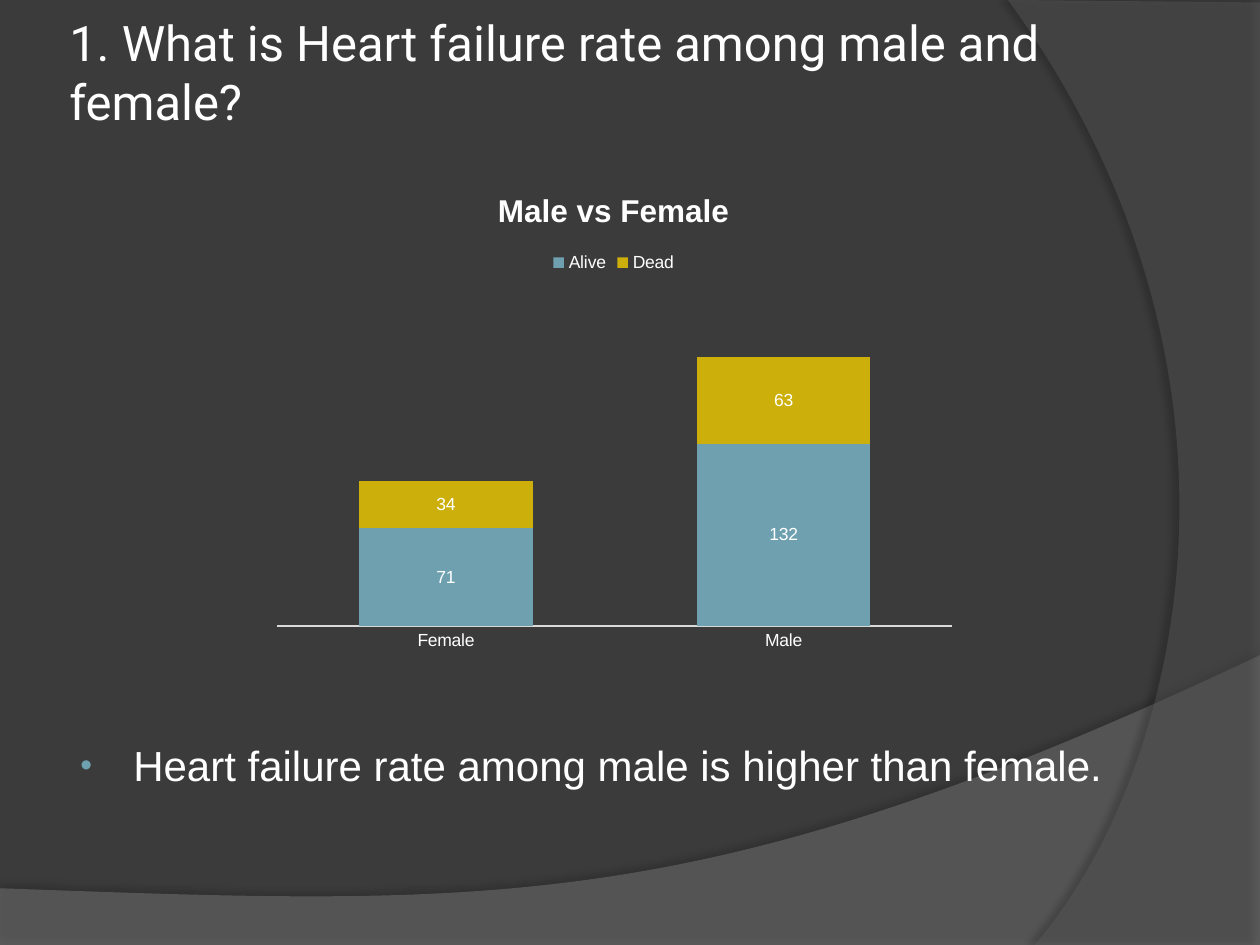
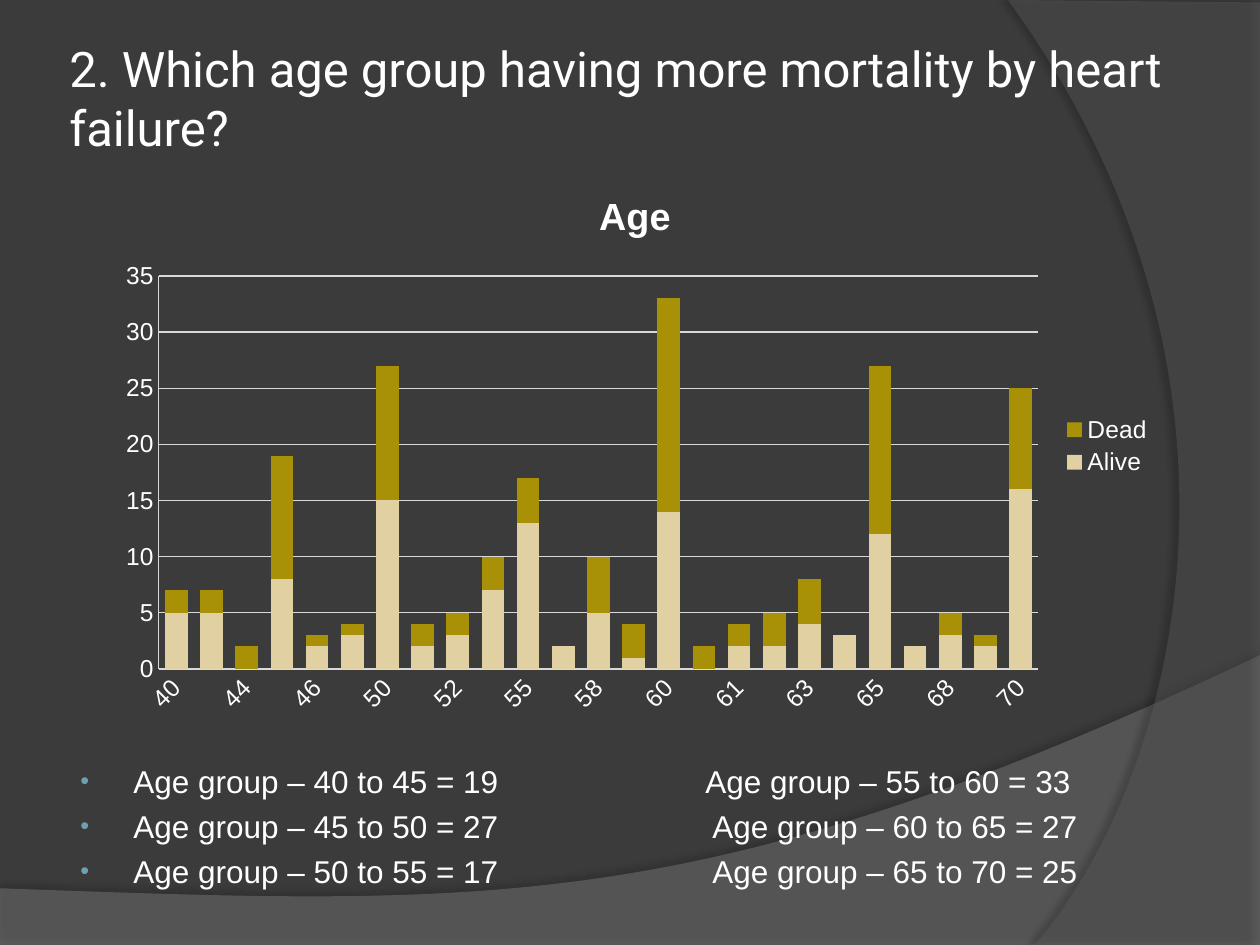
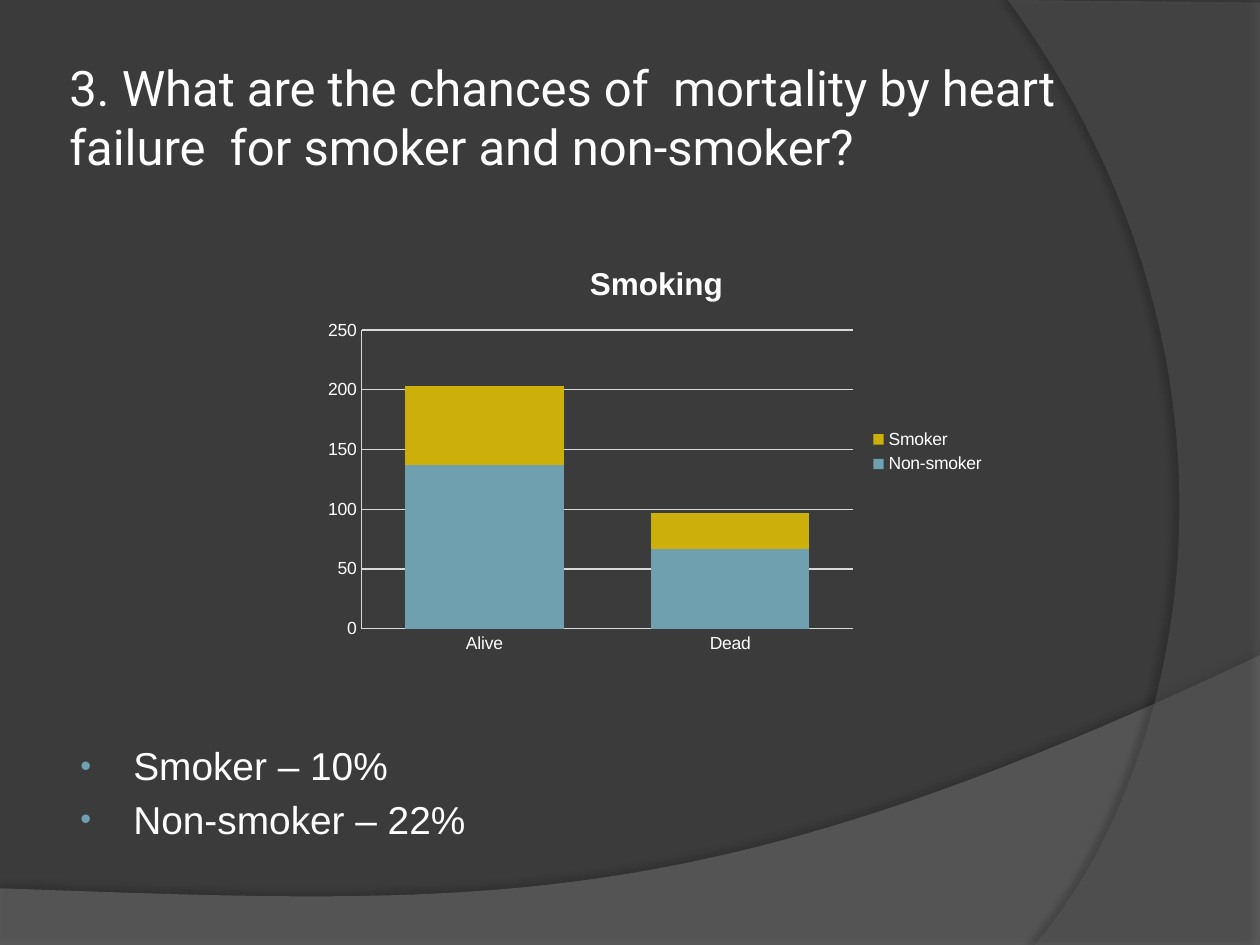
from dataclasses import dataclass
from typing import Any, NamedTuple

import lxml.etree
import pptx
import pptx.chart.data
import pptx.dml.color
import pptx.enum.chart
import pptx.enum.text
import pptx.oxml.ns
import pptx.util

SCALE = 9144  # EMU in one px, 100 px to the inch
WIDE, HIGH = 1000, 750


@dataclass(frozen=True)
class Theme:
    back: str = "3B3B3B"
    text: str = "FFFFFF"
    rule: str = "D9D9D9"
    shade: str = "000000"
    blue: str = "6EA0B0"
    gold: str = "CCAF0A"
    sand: str = "E0D0A2"
    olive: str = "A99107"
    head: str = "Roboto"
    body: str = "Arial"
    title: float = 28
    space: float = 4


THEME = Theme()


class Box(NamedTuple):
    left: int
    top: int
    width: int
    height: int


class Band(NamedTuple):
    corners: list[tuple[int, int]]
    curve: list[tuple[int, int]]
    color: str
    alpha: int
    shade: int
    dist: int
    angle: int


class Series(NamedTuple):
    name: str
    color: str
    values: list[int | None]


class Graph(NamedTuple):
    box: Box
    plot: Box
    title: str
    head: float
    size: float
    gap: int
    top: int
    step: int
    cats: list[str]
    series: list[Series]
    bare: bool = False  # labelled bars, no value axis
    tilt: bool = False  # slanted labels on every second category


class Page(NamedTuple):
    title: str
    frame: Box
    graph: Graph
    notes: list[str]
    list_box: Box
    size: float


BANDS = [
    Band([(0, 705), (0, 750), (1000, 750)],
         [(1000, 520), (559, 729), (391, 719), (0, 705)],
         "7F7F7F", 45, 35, 44450, 270),
    Band([(1000, 2), (1000, 750)],
         [(821, 750), (935, 619), (1018, 300), (800, 0)],
         "5E5E5E", 40, 45, 50800, 180),
]

AGES = ("40 42 44 45 46 49 50 51 52 53 55 57 58 59 60 60.67 "
        "61 62 63 64 65 67 68 69 70").split()

PAGES = [
    Page("1. What is Heart failure rate among male and female?",
         Box(50, 30, 900, 53),
         Graph(Box(208, 133, 558, 392), Box(220, 223, 536, 274),
               "Male vs Female", 18, 10, 95, 250, 50, ["Female", "Male"],
               [Series("Alive", THEME.blue, [71, 132]),
                Series("Dead", THEME.gold, [34, 63])], bare=True),
         ["Heart failure rate among male is higher than female."],
         Box(50, 587, 900, 45), 24),
    Page("2. Which age group having more mortality by heart failure?",
         Box(50, 30, 892, 95),
         Graph(Box(83, 133, 842, 442), Box(126, 219, 698, 312),
               "Age", 21.6, 14, 55, 35, 5, AGES,
               [Series("Alive", THEME.sand,
                       [5, 5, None, 8, 2, 3, 15, 2, 3, 7, 13, 2, 5, 1, 14,
                        None, 2, 2, 4, 3, 12, 2, 3, 2, 16]),
                Series("Dead", THEME.olive,
                       [2, 2, 2, 11, 1, 1, 12, 2, 2, 3, 4, None, 5, 3, 19,
                        2, 2, 3, 4, None, 15, None, 2, 1, 9])], tilt=True),
         ["Age group – 40 to 45 = 19\t\tAge group – 55 to 60 = 33",
          "Age group – 45 to 50 = 27\t\t Age group – 60 to 65 = 27",
          "Age group – 50 to 55 = 17\t\t Age group – 65 to 70 = 25"],
         Box(50, 605, 900, 110), 18),
    Page("3. What are the chances of  mortality by heart failure  "
         "for smoker and non-smoker?",
         Box(50, 30, 900, 125),
         Graph(Box(250, 192, 542, 333), Box(287, 262, 390, 237),
               "Smoking", 18, 10, 55, 250, 50, ["Alive", "Dead"],
               [Series("Non-smoker", THEME.blue, [137, 67]),
                Series("Smoker", THEME.gold, [66, 30])]),
         ["Smoker – 10%", "Non-smoker – 22%"],
         Box(50, 589, 817, 90), 22.2),
]


def px(value: float) -> int:
    return round(value * SCALE)


def place(box: Box) -> list[int]:
    return [px(side) for side in box]


def rgb(color: str) -> pptx.dml.color.RGBColor:
    return pptx.dml.color.RGBColor.from_string(color)


def apply(target: Any, values: dict[str, Any]) -> None:
    for name, value in values.items():
        setattr(target, name, value)


def style(font: Any, face: str, size: float, bold: bool = False) -> None:
    apply(font, {"name": face, "size": pptx.util.Pt(size), "bold": bold})
    font.color.rgb = rgb(THEME.text)


def paint(fill: Any, color: str) -> None:
    fill.solid()
    fill.fore_color.rgb = rgb(color)


def node(parent: Any, tag: str, **values: Any) -> Any:
    """Append an XML child such as a:alpha."""
    return lxml.etree.SubElement(
        parent, pptx.oxml.ns.qn(tag),
        {name: str(value) for name, value in values.items()})


def bend(shape: Any, curve: list[tuple[int, int]]) -> None:
    """Turn the last straight side of an outline into a cubic curve."""
    side = list(shape._element.iter(pptx.oxml.ns.qn("a:lnTo")))[-1]
    arc = node(side.getparent(), "a:cubicBezTo")
    for x, y in curve[1:]:
        node(arc, "a:pt", x=px(x) - shape.left, y=px(y) - shape.top)
    side.getparent().replace(side, arc)


def draw_band(slide: Any, band: Band) -> None:
    start, *rest = [(px(x), px(y)) for x, y in
                    (*band.corners, band.curve[0], band.curve[-1])]
    pen = slide.shapes.build_freeform(*start, scale=1.0)
    pen.add_line_segments(rest, close=True)
    shape = pen.convert_to_shape()
    bend(shape, band.curve)
    shape.shadow.inherit = False
    paint(shape.fill, band.color)
    shape.line.fill.background()
    props = shape._element.spPr
    tone = props.find(".//" + pptx.oxml.ns.qn("a:srgbClr"))
    node(tone, "a:alpha", val=band.alpha * 1000)
    glow = node(props.find(pptx.oxml.ns.qn("a:effectLst")), "a:outerShdw",
                blurRad=50800, dist=band.dist, dir=band.angle * 60000,
                algn="ctr", rotWithShape=0)
    node(node(glow, "a:srgbClr", val=THEME.shade), "a:alpha",
         val=band.shade * 1000)


def add_frame(slide: Any, box: Box, values: dict[str, Any]) -> Any:
    frame = slide.shapes.add_textbox(*place(box)).text_frame
    apply(frame, {"word_wrap": True,
                  "auto_size": pptx.enum.text.MSO_AUTO_SIZE.NONE, **values})
    return frame


def draw_title(slide: Any, page: Page) -> None:
    sides = ("left", "top", "right", "bottom")
    values = {f"margin_{side}": px(5) for side in sides}
    values["vertical_anchor"] = pptx.enum.text.MSO_ANCHOR.MIDDLE
    run = add_frame(slide, page.frame, values).paragraphs[0].add_run()
    run.text = page.title
    style(run.font, THEME.head, THEME.title)


def draw_notes(slide: Any, page: Page) -> None:
    frame = add_frame(slide, page.list_box,
                      {"margin_top": 0, "margin_bottom": 0})
    for index, note in enumerate(page.notes):
        para = frame.add_paragraph() if index else frame.paragraphs[0]
        para.space_before = pptx.util.Pt(THEME.space if index else 0)
        props = para._p.get_or_add_pPr()
        for name, value in (("marL", 46), ("indent", -42), ("defTabSz", 100)):
            props.set(name, str(px(value)))
        node(node(props, "a:buClr"), "a:srgbClr", val=THEME.blue)
        node(props, "a:buSzPct", val=80000)
        node(props, "a:buFont", typeface=THEME.body)
        node(props, "a:buChar", char="•")
        run = para.add_run()
        run.text = note
        style(run.font, THEME.body, page.size)


def fix_plot(chart: Any, graph: Graph) -> None:
    """Pin the inner plot area to its box."""
    area = chart._chartSpace.chart.plotArea
    layout = area.find(pptx.oxml.ns.qn("c:layout"))
    if layout is None:
        layout = node(area, "c:layout")
        area.insert(0, layout)
    manual = node(layout, "c:manualLayout")
    box, plot = graph.box, graph.plot
    node(manual, "c:layoutTarget", val="inner")
    for name in "xy":
        node(manual, f"c:{name}Mode", val="edge")
    for name, value in (("x", (plot.left - box.left) / box.width),
                        ("y", (plot.top - box.top) / box.height),
                        ("w", plot.width / box.width),
                        ("h", plot.height / box.height)):
        node(manual, f"c:{name}", val=round(value, 4))


def set_axes(chart: Any, graph: Graph) -> None:
    none = pptx.enum.chart.XL_TICK_MARK.NONE
    cat, val = chart.category_axis, chart.value_axis
    for axis in (cat, val):
        apply(axis, {"major_tick_mark": none, "minor_tick_mark": none,
                     "has_major_gridlines": False})
        style(axis.tick_labels.font, THEME.body, graph.size)
    apply(val, {"minimum_scale": 0, "maximum_scale": graph.top,
                "major_unit": graph.step, "visible": not graph.bare,
                "has_major_gridlines": not graph.bare})
    lines = [cat.format.line]
    if not graph.bare:
        lines += [val.format.line, val.major_gridlines.format.line]
    for line in lines:
        line.color.rgb = rgb(THEME.rule)
        line.width = pptx.util.Pt(0.75)
    if graph.tilt:
        root = cat._element
        body = root.find(".//" + pptx.oxml.ns.qn("a:bodyPr"))
        body.set("rot", str(-45 * 60000))
        skip = node(root, "c:tickLblSkip", val=2)
        root.find(pptx.oxml.ns.qn("c:noMultiLvlLbl")).addprevious(skip)


def draw_chart(slide: Any, graph: Graph) -> None:
    data = pptx.chart.data.CategoryChartData()
    data.categories = graph.cats
    for item in graph.series:
        data.add_series(item.name, item.values)
    kind = pptx.enum.chart.XL_CHART_TYPE.COLUMN_STACKED
    chart = slide.shapes.add_chart(kind, *place(graph.box), data).chart
    style(chart.font, THEME.body, graph.size)
    chart.has_title = True
    frame = chart.chart_title.text_frame
    frame.text = graph.title
    style(frame.paragraphs[0].runs[0].font, THEME.body, graph.head, True)
    chart.chart_title.include_in_layout = False

    spot = pptx.enum.chart.XL_LEGEND_POSITION
    chart.has_legend = True
    apply(chart.legend, {"position": spot.TOP if graph.bare else spot.RIGHT,
                         "include_in_layout": False})
    style(chart.legend.font, THEME.body, graph.size)

    plot = chart.plots[0]
    apply(plot, {"gap_width": graph.gap, "overlap": 100,
                 "vary_by_categories": False, "has_data_labels": graph.bare})
    if graph.bare:
        plot.data_labels.show_value = True
        style(plot.data_labels.font, THEME.body, graph.size)
    for series, item in zip(plot.series, graph.series):
        paint(series.format.fill, item.color)
    set_axes(chart, graph)
    fix_plot(chart, graph)


def main() -> None:
    deck = pptx.Presentation()
    apply(deck, {"slide_width": px(WIDE), "slide_height": px(HIGH)})
    paint(deck.slide_master.background.fill, THEME.back)
    for page in PAGES:
        slide = deck.slides.add_slide(deck.slide_layouts[6])
        for band in BANDS:
            draw_band(slide, band)
        draw_title(slide, page)
        draw_notes(slide, page)
        draw_chart(slide, page.graph)
    deck.save("out.pptx")


if __name__ == "__main__":
    main()
